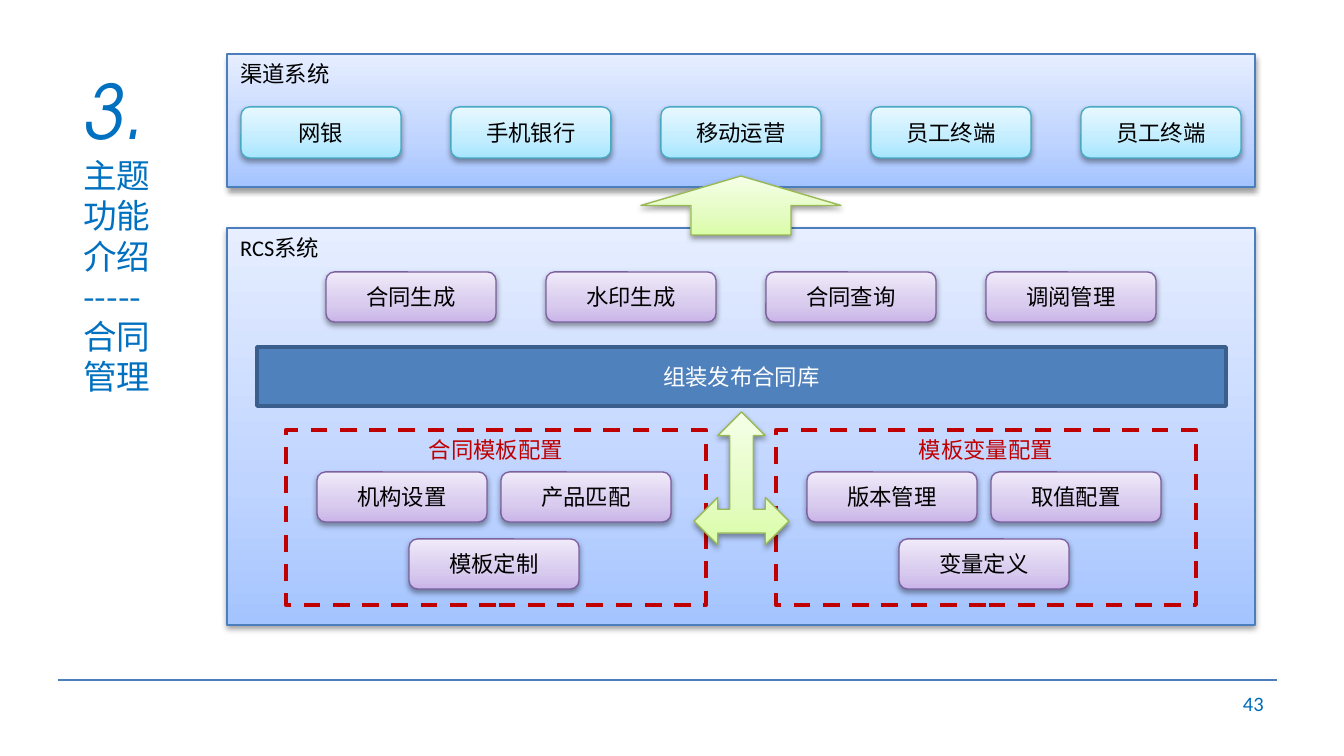
from lxml.etree import SubElement
from pptx import Presentation
from pptx.dml.color import RGBColor
from pptx.enum.dml import MSO_LINE
from pptx.enum.shapes import MSO_CONNECTOR, MSO_SHAPE
from pptx.enum.text import MSO_ANCHOR, PP_ALIGN
from pptx.oxml.ns import qn
from pptx.util import Emu, Pt

SCALE = 9144000 / 1344
SANS = "Noto Sans CJK SC"
# gradient from bottom to top, then the outline
BLUE = ("A4C4FF", "BFD4FF", "E6EEFF", "4B7EBC")
CYAN = ("A7E6FF", "C1EDFF", "E7F8FF", "46AAC5")
PURPLE = ("C9B5E8", "D8CBEE", "F0EAF9", "7D60A0")
GREEN = ("DAFDA7", "E4FCC2", "F5FFE7", "98B955")


def px(*sizes):
    return [Emu(round(size * SCALE)) for size in sizes]


def tint(target, color):
    target.rgb = RGBColor.from_string(color)


def style(para, size, color, font="Calibri", align=PP_ALIGN.LEFT):
    para.alignment = align
    for run in para.runs:
        run.font.size = Pt(size)
        run.font.name = font
        run.font.fill.solid()
        tint(run.font.fill.fore_color, color)
        SubElement(run.font._element, qn("a:ea"), typeface=SANS)


def label(shape, text, color="000000", align=PP_ALIGN.CENTER, anchor=MSO_ANCHOR.MIDDLE):
    frame = shape.text_frame
    frame.text = text
    frame.word_wrap = True
    frame.vertical_anchor = anchor
    style(frame.paragraphs[0], 12, color, align=align)


def outline(shape, color, width):
    tint(shape.line.color, color)
    shape.line.width = Pt(width)


def block(slide, kind, box, theme):
    """Add a shape with an upright gradient and a soft shadow."""
    *shades, edge = theme
    shape = slide.shapes.add_shape(kind, *px(*box))
    shape.fill.gradient()
    shape.fill.gradient_angle = 90
    props = shape._element.spPr
    stops = props.find(".//" + qn("a:gsLst"))
    stops.clear()
    for spot, shade in zip((0, 35000, 100000), shades):
        stop = SubElement(stops, qn("a:gs"), pos=str(spot))
        SubElement(stop, qn("a:srgbClr"), val=shade)
    outline(shape, edge, 0.75)
    shape.shadow.inherit = False
    cast = SubElement(props.find(qn("a:effectLst")), qn("a:outerShdw"),
                      blurRad="40000", dist="20000", dir="5400000", rotWithShape="0")
    ink = SubElement(cast, qn("a:srgbClr"), val="000000")
    SubElement(ink, qn("a:alpha"), val="38000")
    return shape


def row(slide, center, top, size, gap, names, theme):
    """Add a row of equal buttons centred on one x position."""
    width, height = size
    step = width + gap
    left = center - (step * len(names) - gap) / 2
    for i, name in enumerate(names):
        box = (left + i * step, top, width, height)
        label(block(slide, MSO_SHAPE.ROUNDED_RECTANGLE, box, theme), name)


def panel(slide, box, title):
    shape = block(slide, MSO_SHAPE.RECTANGLE, box, BLUE)
    label(shape, title, align=PP_ALIGN.LEFT, anchor=MSO_ANCHOR.TOP)


def channel(slide, box):
    left, top, width, height = box
    panel(slide, box, "渠道系统")
    names = ("网银", "手机银行", "移动运营", "员工终端", "员工终端")
    row(slide, left + width / 2, top + 53, (160, 51), 50, names, CYAN)


def config(slide, box, title, pair, single):
    left, top, width, height = box
    center = left + width / 2 - 2
    row(slide, center, top + 42, (170, 50), 14, pair, PURPLE)
    row(slide, center, top + 109, (170, 50), 14, (single,), PURPLE)
    frame = slide.shapes.add_shape(MSO_SHAPE.RECTANGLE, *px(*box))
    frame.fill.background()
    frame.shadow.inherit = False
    outline(frame, "C00000", 2.25)
    frame.line.dash_style = MSO_LINE.DASH
    label(frame, title, "C00000", anchor=MSO_ANCHOR.TOP)


def system(slide, box):
    left, top, width, height = box
    center = left + width / 2
    panel(slide, box, "RCS系统")
    names = ("合同生成", "水印生成", "合同查询", "调阅管理")
    row(slide, center, top + 44, (170, 50), 50, names, PURPLE)
    store = slide.shapes.add_shape(MSO_SHAPE.RECTANGLE, *px(left + 30, top + 119, width - 59, 59))
    store.fill.solid()
    tint(store.fill.fore_color, "4F81BD")
    store.shadow.inherit = False
    outline(store, "3A5F8C", 2)
    label(store, "组装发布合同库", "FFFFFF")
    config(slide, (left + 59, top + 202, 420, 175), "合同模板配置",
           ("机构设置", "产品匹配"), "模板定制")
    config(slide, (left + 549, top + 202, 420, 175), "模板变量配置",
           ("版本管理", "取值配置"), "变量定义")
    block(slide, MSO_SHAPE.UP_ARROW, (center - 100, top - 52, 200, 59), GREEN)
    block(slide, MSO_SHAPE.LEFT_RIGHT_UP_ARROW, (center - 47, top + 184, 95, 133), GREEN)


def title(slide, box):
    frame = slide.shapes.add_textbox(*px(*box)).text_frame
    frame.word_wrap = True
    frame.margin_top = 0
    number = frame.paragraphs[0]
    number.text = "3."
    style(number, 40, "0070C0", "TeX Gyre Adventor")
    number.runs[0].font.italic = True
    number.line_spacing = Pt(54)
    topic = frame.add_paragraph()
    topic.text = "主题\v功能\v介绍\v-----\v合同\v管理"
    style(topic, 18, "0070C0", SANS)
    topic.line_spacing = Pt(21.6)


def footer(slide, box):
    left, top, width, height = box
    ends = px(left, top, left + width, top)
    rule = slide.shapes.add_connector(MSO_CONNECTOR.STRAIGHT, *ends)
    outline(rule, "4B7EBC", 0.75)
    SubElement(rule._element.spPr, qn("a:effectLst"))
    page = slide.shapes.add_textbox(*px(left + width - 313, top + 3, 313, height - 3))
    frame = page.text_frame
    frame.text = "43"
    frame.word_wrap = True
    frame.vertical_anchor = MSO_ANCHOR.MIDDLE
    style(frame.paragraphs[0], 11, "006DBB", align=PP_ALIGN.RIGHT)


def main():
    deck = Presentation()
    deck.slide_width, deck.slide_height = px(1344, 756)
    slide = deck.slides.add_slide(deck.slide_layouts[6])
    footer(slide, (58, 680, 1219, 43))
    title(slide, (70, 54, 133, 296))
    channel(slide, (227, 54, 1028, 133))
    system(slide, (227, 228, 1028, 397))
    deck.save("out.pptx")


if __name__ == "__main__":
    main()
